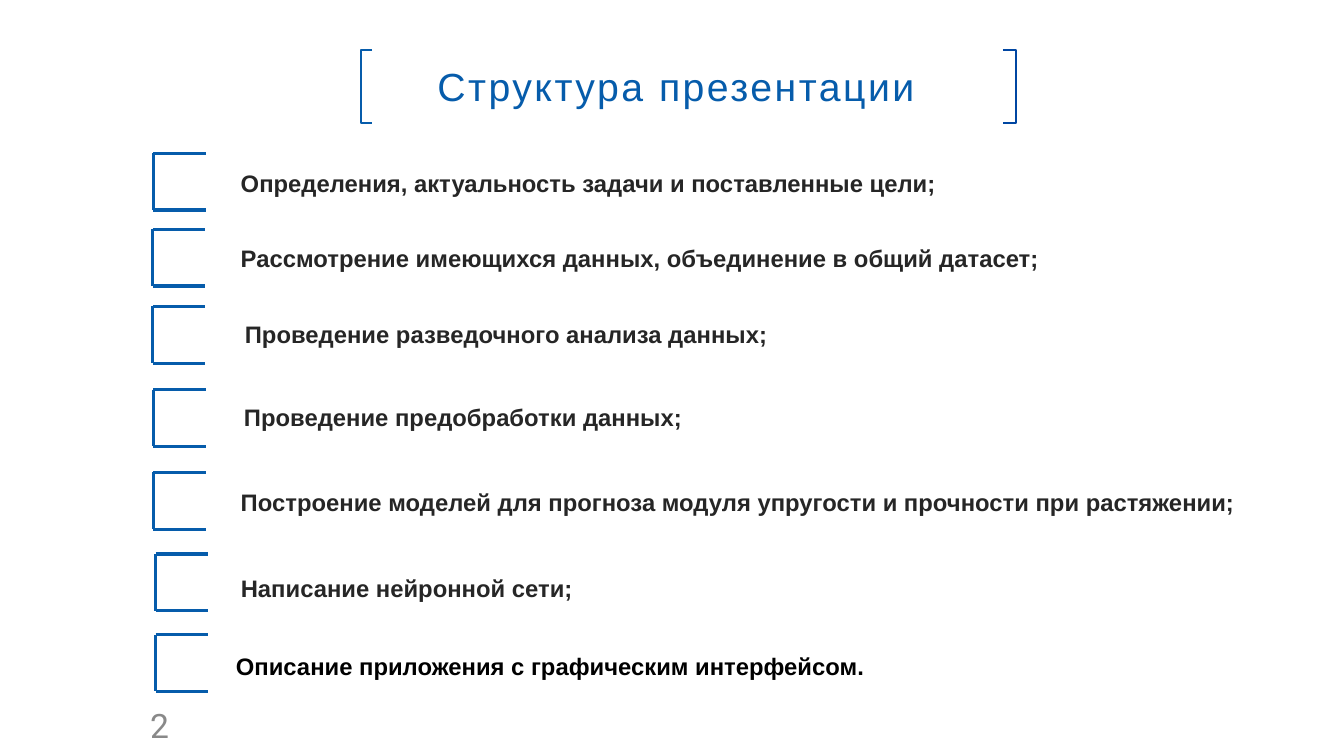
import pptx
import pptx.util
import pptx.dml.color
import pptx.enum.shapes
import pptx.enum.text
import pptx.oxml
import pptx.oxml.ns
from lxml import etree

Pt = pptx.util.Pt
RGBColor = pptx.dml.color.RGBColor
PP_ALIGN = pptx.enum.text.PP_ALIGN
MSO_ANCHOR = pptx.enum.text.MSO_ANCHOR
MSO_AUTO_SIZE = pptx.enum.text.MSO_AUTO_SIZE
qn = pptx.oxml.ns.qn

BLUE = RGBColor(0x06, 0x5C, 0xAB)
DEEP_BLUE = RGBColor(0x00, 0x46, 0xA2)
WHITE = RGBColor(0xFF, 0xFF, 0xFF)
DARK = RGBColor(0x26, 0x26, 0x26)
BLACK = RGBColor(0x00, 0x00, 0x00)
GRAY = RGBColor(0x89, 0x89, 0x89)

BRACKET_WIDTH = 37.6
BRACKET_HEIGHT = 40.6
ITEM_HEIGHT = 27.9

AGENDA = [
    ("Определения, актуальность задачи и поставленные цели;", (109.5, 109.4), (164.9, 116.9), 523.4, DARK),
    ("Рассмотрение имеющихся данных, объединение в общий датасет;", (109.2, 163.7), (164.9, 170.9), 602.6, DARK),
    ("Проведение разведочного анализа данных;", (109.2, 218.9), (167.8, 224.8), 517.7, DARK),
    ("Проведение предобработки данных;", (109.5, 278.3), (167.2, 283.9), 517.7, DARK),
    ("Построение моделей для прогноза модуля упругости и прочности при растяжении;",
     (109.5, 337.4), (164.9, 345.1), 739.4, DARK),
    ("Написание нейронной сети;", (111.3, 395.7), (164.9, 406.3), 507.6, DARK),
    ("Описание приложения с графическим интерфейсом.", (111.2, 453.3), (161.4, 462.2), 507.6, BLACK),
]


def write_text(holder, text, size, color, font="Arial", bold=False, align=PP_ALIGN.LEFT,
               anchor=MSO_ANCHOR.TOP, grow=False):
    frame = holder.text_frame
    frame.word_wrap = True
    frame.vertical_anchor = anchor
    frame.auto_size = MSO_AUTO_SIZE.SHAPE_TO_FIT_TEXT if grow else MSO_AUTO_SIZE.NONE
    paragraph = frame.paragraphs[0]
    paragraph.alignment = align
    run = paragraph.add_run()
    run.text = text
    run.font.size = Pt(size)
    run.font.name = font
    run.font.bold = bold
    run.font.color.rgb = color
    return run


def outline_letters(run, width, color, spacing):
    properties = run.font._element
    properties.set("spc", str(int(spacing * 100)))
    outline = etree.Element(qn("a:ln"), w=str(Pt(width)))
    fill = etree.SubElement(outline, qn("a:solidFill"))
    etree.SubElement(fill, qn("a:srgbClr"), val=str(color))
    properties.insert(0, outline)


def add_title_bracket(group, tip, spine, color):
    top, bottom = Pt(36), Pt(88)
    builder = group.shapes.build_freeform(Pt(tip), top)
    builder.add_line_segments([(Pt(spine), top), (Pt(spine), bottom), (Pt(tip), bottom)], close=False)
    bracket = builder.convert_to_shape()
    bracket.shadow.inherit = False
    bracket.fill.background()
    bracket.line.color.rgb = color
    bracket.line.width = Pt(1.3)


def add_title(slide, text):
    group = slide.shapes.add_group_shape()
    panel = group.shapes.add_shape(pptx.enum.shapes.MSO_SHAPE.RECTANGLE,
                                   Pt(249), Pt(35.3), Pt(468), Pt(52.6))
    panel.shadow.inherit = False
    panel.fill.solid()
    panel.fill.fore_color.rgb = WHITE
    panel.line.color.rgb = WHITE
    panel.line.width = Pt(2)
    heading = write_text(panel, text, 28, BLUE, align=PP_ALIGN.CENTER, anchor=MSO_ANCHOR.MIDDLE)
    outline_letters(heading, 0.75, BLUE, 1.8)
    add_title_bracket(group, 265.7, 257.8, BLUE)
    add_title_bracket(group, 716.4, 725.6, DEEP_BLUE)


def add_rule(group, x1, y1, x2, y2):
    rule = group.shapes.add_connector(pptx.enum.shapes.MSO_CONNECTOR.STRAIGHT,
                                      Pt(x1), Pt(y1), Pt(x2), Pt(y2))
    rule.line.color.rgb = BLUE
    rule.line.width = Pt(2.25)
    etree.SubElement(rule._element.spPr, qn("a:effectLst"))


def add_item_bracket(slide, left, top):
    group = slide.shapes.add_group_shape()
    right, bottom = left + BRACKET_WIDTH, top + BRACKET_HEIGHT
    add_rule(group, left, top, left, bottom)
    for y in (top, bottom):
        add_rule(group, left, y, right, y)


def add_text_box(slide, left, top, width, height, text, **style):
    box = slide.shapes.add_textbox(Pt(left), Pt(top), Pt(width), Pt(height))
    write_text(box, text, **style)


def main():
    deck = pptx.Presentation()
    deck.slide_width, deck.slide_height = Pt(960), Pt(540)
    slide = deck.slides.add_slide(deck.slide_layouts[6])
    add_title(slide, "Структура презентации")
    for text, bracket_corner, text_corner, width, color in AGENDA:
        add_item_bracket(slide, *bracket_corner)
        add_text_box(slide, *text_corner, width, ITEM_HEIGHT, text,
                     size=17, color=color, bold=True, grow=True)
    add_text_box(slide, 100.1, 506.9, 44.6, 21.6, "2",
                 size=24, color=GRAY, font="Roboto", anchor=MSO_ANCHOR.MIDDLE)
    deck.save("out.pptx")


if __name__ == "__main__":
    main()
